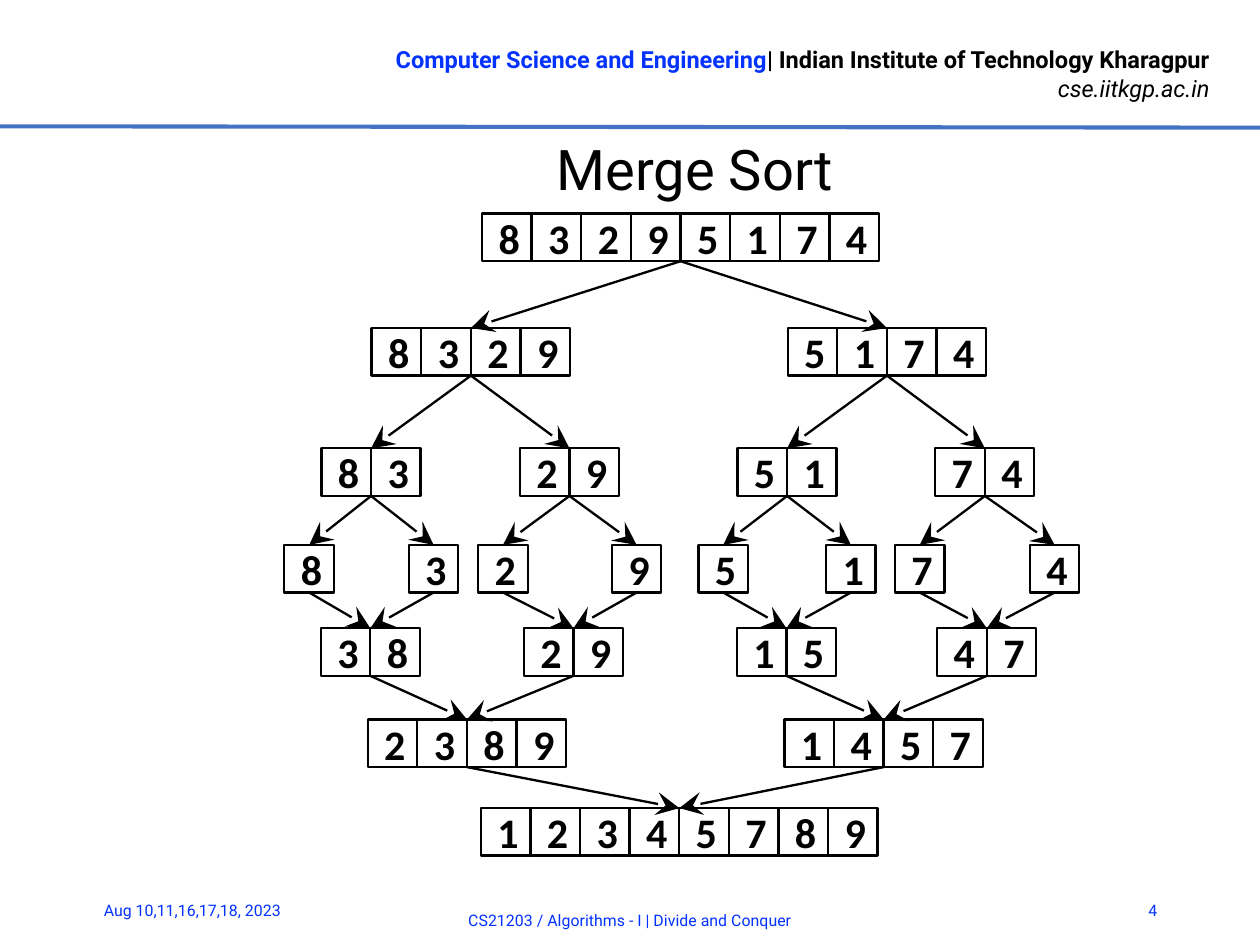
from dataclasses import dataclass
from itertools import pairwise

from lxml import etree
from pptx import Presentation
from pptx.dml.color import RGBColor
from pptx.enum.shapes import MSO_CONNECTOR, MSO_SHAPE
from pptx.enum.text import MSO_ANCHOR, PP_ALIGN
from pptx.oxml.ns import qn
from pptx.util import Cm, Pt

STRAIGHT = MSO_CONNECTOR.STRAIGHT
RECTANGLE = MSO_SHAPE.RECTANGLE
TOP, MIDDLE = MSO_ANCHOR.TOP, MSO_ANCHOR.MIDDLE
LEFT, CENTER, RIGHT = PP_ALIGN.LEFT, PP_ALIGN.CENTER, PP_ALIGN.RIGHT
TOP_SIDE, BOTTOM_SIDE = 0, 2
CELL_WIDTH, CELL_HEIGHT = 0.75, 0.72


@dataclass(frozen=True)
class Theme:
    ink: RGBColor = RGBColor(0x00, 0x00, 0x00)
    accent: RGBColor = RGBColor(0x04, 0x32, 0xFF)
    rule: RGBColor = RGBColor(0x44, 0x72, 0xC4)
    text_font: str = "Roboto"
    digit_font: str = "Calibri"
    title_size: float = 24
    digit_size: float = 18
    header_size: float = 10.1
    footer_size: float = 6.8
    thin: float = 1
    thick: float = 1.75


@dataclass
class Block:
    """A row of array cells; left and top are in centimetres."""
    left: float
    top: float
    cells: list

    @property
    def middle(self):
        return self.left + len(self.cells) * CELL_WIDTH / 2

    @property
    def bottom(self):
        return self.top + CELL_HEIGHT

    @property
    def single(self):
        return self.cells[0] if len(self.cells) == 1 else None


class SlideBuilder:
    def __init__(self, page, theme):
        self.page = page
        self.theme = theme

    def span(self, para, text, size, color, font=None, bold=False, italic=False):
        span = para.add_run()
        span.text = text
        span.font.name = font or self.theme.text_font
        span.font.size = Pt(size)
        span.font.color.rgb = color
        span.font.bold = bold
        span.font.italic = italic

    def text_box(self, left, top, width, height, align, anchor=MIDDLE):
        """Add an empty text box and return its text frame."""
        box = self.page.shapes.add_textbox(Cm(left), Cm(top), Cm(width), Cm(height))
        frame = box.text_frame
        frame.word_wrap = True
        frame.vertical_anchor = anchor
        frame.paragraphs[0].alignment = align
        return frame

    def header(self):
        theme = self.theme
        frame = self.text_box(4.85, 0.56, 13.69, 1.12, RIGHT, TOP)
        para = frame.paragraphs[0]
        size = theme.header_size
        self.span(para, "Computer Science and Engineering", size, theme.accent, bold=True)
        self.span(para, "| Indian Institute of Technology Kharagpur", size, theme.ink, bold=True)
        site = frame.add_paragraph()
        site.alignment = RIGHT
        self.span(site, "cse.iitkgp.ac.in", size, theme.ink, italic=True)
        self.line((0, 1.91), (19.05, 1.93), theme.rule, theme.thick)

    def title(self, text):
        frame = self.text_box(2.77, 2.01, 15.47, 1.04, CENTER)
        frame.margin_left = frame.margin_right = frame.margin_bottom = 0
        frame.margin_top = Cm(0.03)
        self.span(frame.paragraphs[0], text, self.theme.title_size, self.theme.ink)

    def footer(self, text, left, top, width, align):
        frame = self.text_box(left, top, width, 0.76, align)
        self.span(frame.paragraphs[0], text, self.theme.footer_size, self.theme.accent)

    def line(self, start, end, color, weight):
        ends = [Cm(value) for value in (*start, *end)]
        line = self.page.shapes.add_connector(STRAIGHT, *ends)
        line.line.color.rgb = color
        line.line.width = Pt(weight)
        etree.SubElement(line._element.spPr, qn("a:effectLst"))
        return line

    def cell(self, left, top, digit):
        theme = self.theme
        cell = self.page.shapes.add_shape(
            RECTANGLE, Cm(left), Cm(top), Cm(CELL_WIDTH), Cm(CELL_HEIGHT))
        cell.shadow.inherit = False
        cell.fill.background()
        cell.line.color.rgb = theme.ink
        cell.line.width = Pt(theme.thin)
        cell.text_frame.vertical_anchor = MIDDLE
        para = cell.text_frame.paragraphs[0]
        para.alignment = CENTER
        self.span(para, digit, theme.digit_size, theme.ink, theme.digit_font, bold=True)
        return cell

    def block(self, left, top, digits):
        cells = [self.cell(left + index * CELL_WIDTH, top, digit)
                 for index, digit in enumerate(digits)]
        return Block(left, top, cells)

    def arrow(self, upper, lower):
        """Point from the bottom middle of one block to the top middle of another."""
        arrow = self.line((upper.middle, upper.bottom), (lower.middle, lower.top),
                          self.theme.ink, self.theme.thin)
        if upper.single:
            arrow.begin_connect(upper.single, BOTTOM_SIDE)
        if lower.single:
            arrow.end_connect(lower.single, TOP_SIDE)
        outline = arrow.line._get_or_add_ln()
        etree.SubElement(outline, qn("a:tailEnd"), type="stealth", w="lg", len="lg")


# Each level: top, then the left edge and digits of every block.
LEVELS = [
    (3.23, [(7.29, "83295174")]),
    (4.96, [(5.62, "8329"), (11.91, "5174")]),
    (6.78, [(4.86, "83"), (7.86, "29"), (11.15, "51"), (14.14, "74")]),
    (8.24, [(4.3, "8"), (6.18, "3"), (7.23, "2"), (9.25, "9"),
            (10.56, "5"), (12.49, "1"), (13.53, "7"), (15.57, "4")]),
    (9.5, [(4.85, "38"), (7.92, "29"), (11.14, "15"), (14.17, "47")]),
    (10.88, [(5.56, "2389"), (11.86, "1457")]),
    (12.22, [(7.27, "12345789")]),
]


def main():
    deck = Presentation()
    deck.slide_width, deck.slide_height = Cm(19.05), Cm(14.29)
    page = deck.slides.add_slide(deck.slide_layouts[6])
    builder = SlideBuilder(page, Theme())

    builder.header()
    builder.title("Merge Sort")
    levels = [[builder.block(left, top, digits) for left, digits in blocks]
              for top, blocks in LEVELS]
    for upper, lower in pairwise(levels):
        count = max(len(upper), len(lower))
        for index in range(count):
            builder.arrow(upper[index * len(upper) // count],
                          lower[index * len(lower) // count])

    builder.footer("Aug 10,11,16,17,18, 2023", 1.32, 13.39, 3.33, LEFT)
    builder.footer("CS21203 / Algorithms - I | Divide and Conquer", 3.15, 13.54, 12.75, CENTER)
    builder.footer("4", 16.81, 13.39, 0.94, RIGHT)
    deck.save("out.pptx")


if __name__ == "__main__":
    main()
